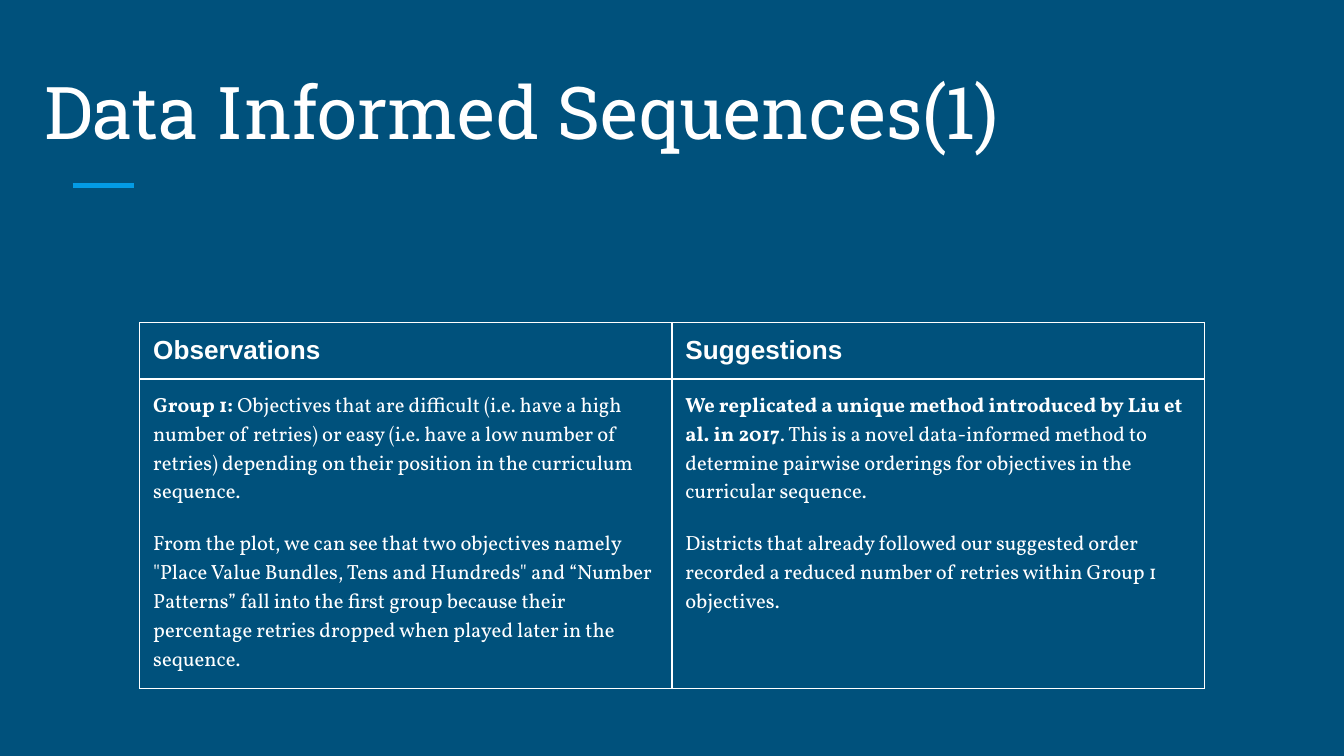
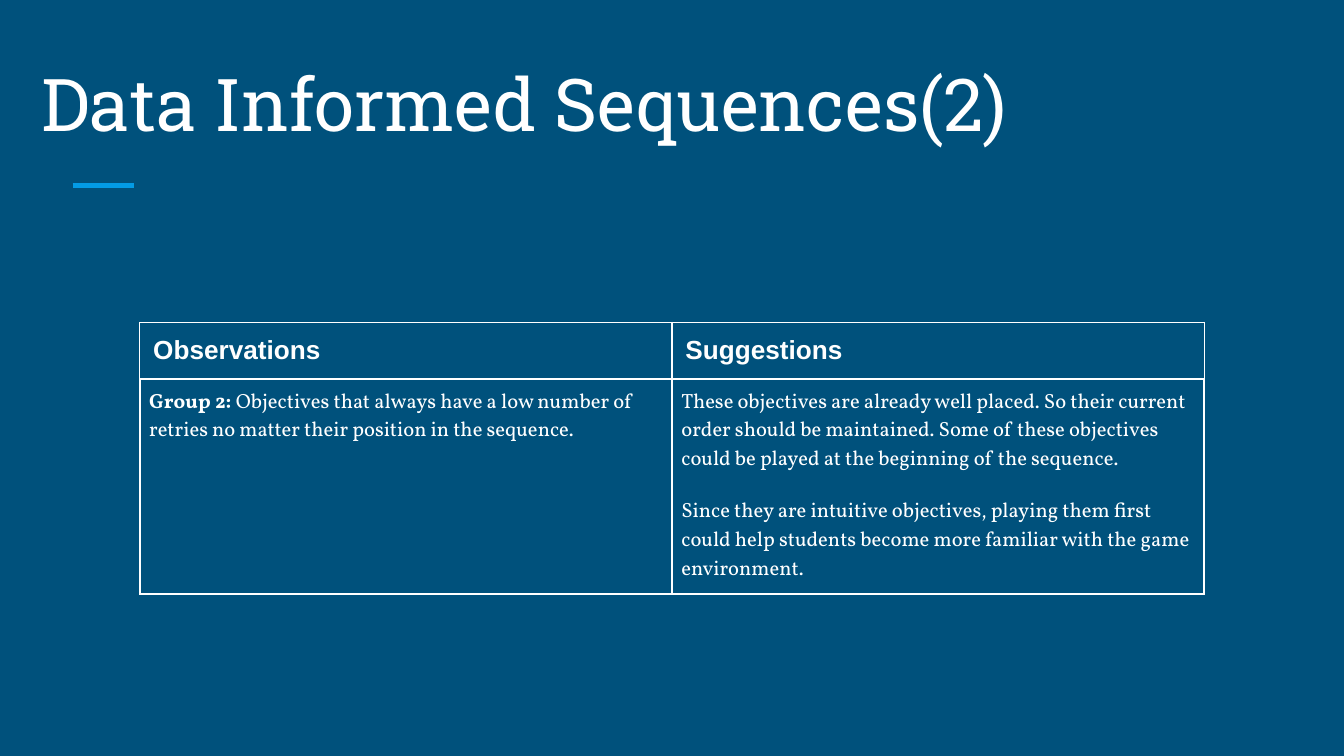
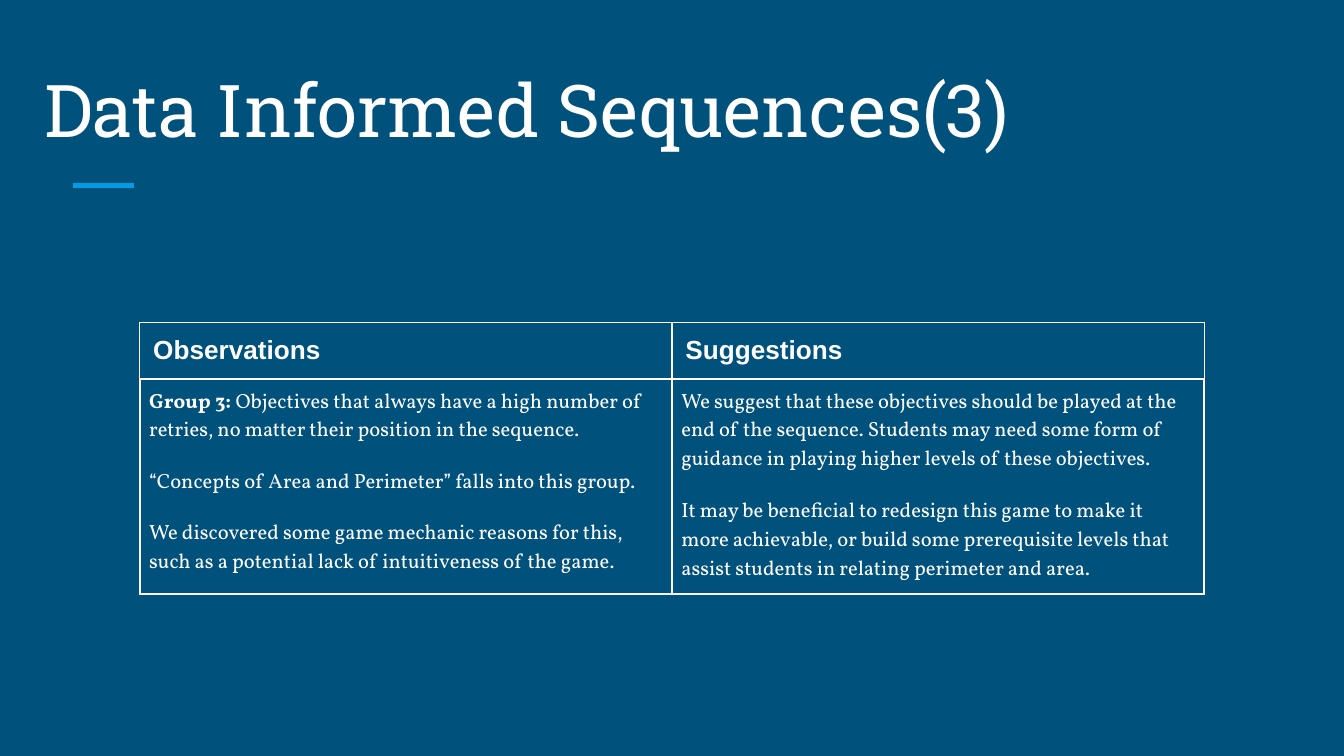
import lxml.etree
import pptx
import pptx.dml.color
import pptx.enum.shapes
import pptx.enum.text
import pptx.oxml.ns
import pptx.util

PX = 4572
NAVY, SKY, WHITE = "00517C", "039BE5", "FFFFFF"
TITLE_FONT, HEADER_FONT, BODY_FONT = "Roboto Slab", "Arial", "Vollkorn"
HEADERS = ["Observations", "Suggestions"]
TABLE_BOX = (208, 480, 1584, 168)
ACCENT_BOX = (108, 276, 92, 0)
INSET = 20
THIN, THICK = 0.75, 1

SLIDES = [
    {
        "title": "Data Informed Sequences(1)",
        "title_box": (46, 82, 1980, 168),
        "body_inset": 20,
        "body_border": THIN,
        "body": [
            [
                [
                    ("Group 1: ", True),
                    ("Objectives that are difficult (i.e. have a high number of retries) or easy "
                     "(i.e. have a low number of retries) depending on their position in the "
                     "curriculum sequence.", False),
                ],
                [("From the plot, we can see that two objectives namely \"Place Value Bundles, "
                  "Tens and Hundreds\" and “Number Patterns” fall into the first group because "
                  "their percentage retries dropped when played later in the sequence.", False)],
            ],
            [
                [
                    ("We replicated a unique method introduced by Liu et al. in 2017", True),
                    (". This is a novel data-informed method to determine pairwise orderings for "
                     "objectives in the curricular sequence.", False),
                ],
                [("Districts that already followed our suggested order recorded a reduced number "
                  "of retries within Group 1 objectives.", False)],
            ],
        ],
    },
    {
        "title": "Data Informed Sequences(2)",
        "title_box": (42, 88, 1830, 150),
        "body_inset": 14,
        "body_border": THICK,
        "body": [
            [
                [
                    ("Group 2:", True),
                    (" Objectives that always have a low number of retries no matter their "
                     "position in the sequence.", False),
                ],
            ],
            [
                [("These objectives are already well placed. So their current order should be "
                  "maintained. Some of these objectives could be played at the beginning of the "
                  "sequence.", False)],
                [("Since they are intuitive objectives, playing them first could help students "
                  "become more familiar with the game environment.", False)],
            ],
        ],
    },
    {
        "title": "Data Informed Sequences(3)",
        "title_box": (46, 96, 1830, 150),
        "body_inset": 14,
        "body_border": THICK,
        "body": [
            [
                [
                    ("Group 3: ", True),
                    ("Objectives that always have a high number of retries, no matter their "
                     "position in the sequence.", False),
                ],
                [("“Concepts of Area and Perimeter” falls into this group.", False)],
                [("We discovered some game mechanic reasons for this, such as a potential lack "
                  "of intuitiveness of the game.", False)],
            ],
            [
                [("We suggest that these objectives should be played at the end of the sequence. "
                  "Students may need some form of guidance in playing higher levels of these "
                  "objectives.", False)],
                [("It may be beneficial to redesign this game to make it more achievable, or "
                  "build some prerequisite levels that assist students in relating perimeter "
                  "and area.", False)],
            ],
        ],
    },
]


def px(length):
    return pptx.util.Emu(length * PX)


def color(value):
    return pptx.dml.color.RGBColor.from_string(value)


def set_margins(target, inset):
    for side in ("left", "top", "right", "bottom"):
        setattr(target, f"margin_{side}", px(inset))


def add_run(paragraph, text, font, size, bold=False):
    run = paragraph.add_run()
    run.text = text
    run.font.name = font
    run.font.size = pptx.util.Pt(size)
    run.font.bold = bold
    run.font.color.rgb = color(WHITE)


def add_title(slide, box, text):
    title = slide.shapes.title
    title.left, title.top, title.width, title.height = map(px, box)
    frame = title.text_frame
    frame.word_wrap = True
    frame.auto_size = pptx.enum.text.MSO_AUTO_SIZE.NONE
    frame.vertical_anchor = pptx.enum.text.MSO_ANCHOR.BOTTOM
    set_margins(frame, INSET)
    paragraph = frame.paragraphs[0]
    paragraph.alignment = pptx.enum.text.PP_ALIGN.LEFT
    add_run(paragraph, text, TITLE_FONT, 39)


def add_accent(slide, box):
    left, top, width, height = box
    line = slide.shapes.add_connector(
        pptx.enum.shapes.MSO_CONNECTOR.STRAIGHT,
        px(left), px(top), px(left + width), px(top + height))
    line.line.color.rgb = color(SKY)
    line.line.width = pptx.util.Pt(3)
    properties = line._element.spPr
    lxml.etree.SubElement(properties, pptx.oxml.ns.qn("a:effectLst"))


def set_borders(cell, widths):
    properties = cell._tc.get_or_add_tcPr()
    for side, width in zip("LRTB", widths):
        border = lxml.etree.SubElement(properties, pptx.oxml.ns.qn(f"a:ln{side}"))
        border.set("w", str(int(pptx.util.Pt(width))))
        fill = lxml.etree.SubElement(border, pptx.oxml.ns.qn("a:solidFill"))
        lxml.etree.SubElement(fill, pptx.oxml.ns.qn("a:srgbClr")).set("val", WHITE)


def fill_cell(cell, paragraphs, font, size, inset, borders, spacing):
    set_borders(cell, borders)
    cell.fill.background()
    set_margins(cell, inset)
    frame = cell.text_frame
    for index, runs in enumerate(paragraphs):
        paragraph = frame.add_paragraph() if index else frame.paragraphs[0]
        paragraph.space_before = pptx.util.Pt(spacing)
        if index and index == len(paragraphs) - 1:
            paragraph.space_after = pptx.util.Pt(spacing)
        for text, bold in runs:
            add_run(paragraph, text, font, size, bold)


def add_findings_table(slide, box, body, body_inset, body_border):
    table = slide.shapes.add_table(2, len(HEADERS), *map(px, box)).table
    table.first_row = False
    table.horz_banding = False
    header_borders = [THIN, THIN, THIN, body_border]
    for column, (header, paragraphs) in enumerate(zip(HEADERS, body)):
        fill_cell(table.cell(0, column), [[(header, True)]], HEADER_FONT, 14,
                  INSET, header_borders, 0)
        fill_cell(table.cell(1, column), paragraphs, BODY_FONT, 11,
                  body_inset, [body_border] * 4, 12)


def add_findings_slide(presentation, content):
    slide = presentation.slides.add_slide(presentation.slide_layouts.get_by_name("Title Only"))
    add_accent(slide, ACCENT_BOX)
    add_title(slide, content["title_box"], content["title"])
    add_findings_table(slide, TABLE_BOX, content["body"],
                       content["body_inset"], content["body_border"])


def main():
    presentation = pptx.Presentation()
    presentation.slide_width, presentation.slide_height = px(2000), px(1125)
    background = presentation.slide_master.background.fill
    background.solid()
    background.fore_color.rgb = color(NAVY)
    for content in SLIDES:
        add_findings_slide(presentation, content)
    presentation.save("out.pptx")


if __name__ == "__main__":
    main()
